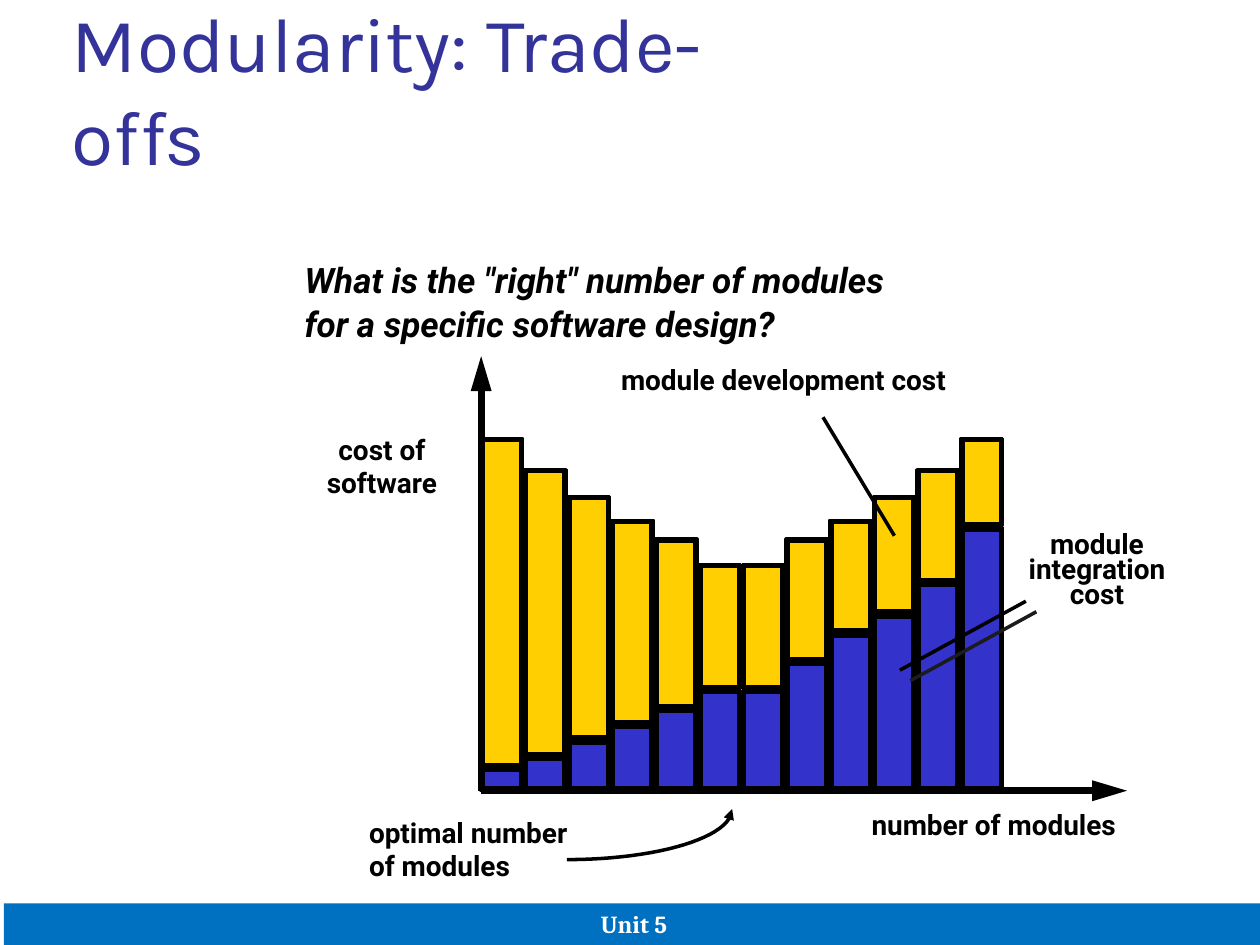
import math

from lxml import etree
from pptx import Presentation
from pptx.dml.color import RGBColor
from pptx.enum.shapes import MSO_CONNECTOR, MSO_SHAPE
from pptx.enum.text import MSO_ANCHOR, MSO_AUTO_SIZE, PP_ALIGN
from pptx.oxml.ns import qn
from pptx.util import Cm, Pt

RECTANGLE = MSO_SHAPE.RECTANGLE
STRAIGHT = MSO_CONNECTOR.STRAIGHT
LEFT, CENTER = PP_ALIGN.LEFT, PP_ALIGN.CENTER
MIDDLE, BOTTOM = MSO_ANCHOR.MIDDLE, MSO_ANCHOR.BOTTOM
NO_AUTO_SIZE = MSO_AUTO_SIZE.NONE

COLORS = {
    "title": "333399",
    "ink": "000000",
    "development": "FFCF01",
    "integration": "3333CC",
    "footer": "0070C0",
    "footer_text": "FFFFFF",
    "shadow": "1C1C1C",
}

# Bar geometry in centimetres; tops are measured from the slide's top edge.
BASELINE = 15.93
FIRST_BAR, BAR_PITCH, BAR_WIDTH = 9.69, 0.88, 0.84
FALLING_TOPS = [8.84, 9.47, 10.01, 10.49, 10.87, 11.38]
TOTAL_TOPS = FALLING_TOPS + FALLING_TOPS[::-1]
INTEGRATION_TOPS = [15.49, 15.27, 14.94, 14.63, 14.3, 13.92,
                    13.92, 13.36, 12.78, 12.4, 11.76, 10.64]
INSET = 0.04


def color(name):
    return RGBColor.from_string(COLORS[name])


class Painter:
    """Holds the slide being drawn and the style shared by its elements."""

    font = "Roboto"
    line_width = 2

    def __init__(self, slide):
        self.slide = slide
        self.shapes = slide.shapes

    def format_text(self, frame, size, ink="ink", font=None, bold=True,
                    italic=False, align=LEFT):
        for para in frame.paragraphs:
            para.alignment = align
            for span in para.runs:
                span.font.name = font or self.font
                span.font.size = Pt(size)
                span.font.bold = bold
                span.font.italic = italic
                span.font.color.rgb = color(ink)

    def title(self, text, left, top, width, height):
        box = self.shapes.title
        box.left, box.top, box.width, box.height = map(Cm, (left, top, width, height))
        frame = box.text_frame
        frame.text = text
        frame.word_wrap = True
        frame.auto_size = NO_AUTO_SIZE
        frame.vertical_anchor = MIDDLE
        frame.margin_left = frame.margin_right = Cm(0.18)
        frame.margin_top = frame.margin_bottom = Cm(0.08)
        self.format_text(frame, 44, "title", "Karla", bold=False)

    def label(self, text, left, top, width, height, size=16, italic=False,
              align=LEFT, spacing=None, gap=0):
        box = self.shapes.add_textbox(Cm(left), Cm(top), Cm(width), Cm(height))
        frame = box.text_frame
        frame.text = text
        frame.word_wrap = False
        self.format_text(frame, size, italic=italic, align=align)
        for para in frame.paragraphs:
            para.line_spacing = spacing
        for para in frame.paragraphs[1:]:
            para.space_before = Pt(gap)

    def rectangle(self, left, top, width, height, fill=None, outlined=True):
        box = self.shapes.add_shape(RECTANGLE, Cm(left), Cm(top), Cm(width), Cm(height))
        box.shadow.inherit = False
        if fill:
            box.fill.solid()
            box.fill.fore_color.rgb = color(fill)
        else:
            box.fill.background()
        if outlined:
            self.ink_line(box, self.line_width)
        else:
            box.line.fill.background()
        return box

    def bar_segment(self, left, top, bottom, fill):
        """Draw a filled rectangle inside a slightly larger frame."""
        height = bottom - top
        self.rectangle(left + INSET, top + INSET, BAR_WIDTH - 2 * INSET,
                       height - 2 * INSET, fill)
        self.rectangle(left, top, BAR_WIDTH, height)

    def ink_line(self, shape, width):
        shape.line.color.rgb = color("ink")
        shape.line.width = Pt(width)

    def arrowhead(self, shape, end, length="med"):
        line = shape.element.spPr.find(qn("a:ln"))
        etree.SubElement(line, qn(f"a:{end}"), type="triangle", w="med", len=length)

    def connector(self, start, finish, width=None, arrow=False, shadow=False):
        line = self.shapes.add_connector(STRAIGHT, *map(Cm, start + finish))
        self.ink_line(line, width or self.line_width)
        if arrow:
            self.arrowhead(line, "tailEnd", "lg")
        effects = etree.SubElement(line.element.spPr, qn("a:effectLst"))
        if shadow:
            outer = etree.SubElement(effects, qn("a:outerShdw"), dist=str(Pt(8.5)),
                                     dir="2700000", algn="ctr", rotWithShape="0")
            etree.SubElement(outer, qn("a:srgbClr"), val=COLORS["shadow"])

    def curved_arrow(self, center_x, center_y, radius_x, radius_y, steps=24):
        """Draw a quarter ellipse with its arrowhead at the right end."""
        angles = [math.pi / 2 * step / steps for step in range(steps + 1)]
        points = [(Cm(center_x + radius_x * math.cos(angle)),
                   Cm(center_y + radius_y * math.sin(angle))) for angle in angles]
        builder = self.shapes.build_freeform(*points[0])
        builder.add_line_segments(points[1:], close=False)
        curve = builder.convert_to_shape()
        curve.shadow.inherit = False
        curve.fill.background()
        self.ink_line(curve, self.line_width)
        self.arrowhead(curve, "headEnd")

    def footer(self, text, left, top, width, height):
        band = self.rectangle(left, top, width, height, "footer", outlined=False)
        frame = band.text_frame
        frame.text = text
        frame.vertical_anchor = BOTTOM
        self.format_text(frame, 14, "footer_text", "Cambria", align=CENTER)


def main():
    deck = Presentation()
    deck.slide_width, deck.slide_height = Cm(25.4), Cm(19.05)
    page = Painter(deck.slides.add_slide(deck.slide_layouts[5]))

    page.title("Modularity: Trade-offs", 1.27, 0.76, 15.72, 2.03)
    page.label('What is the "right" number of modules\nfor a specific software design?',
               5.89, 5.08, 13.64, 1.98, size=20, italic=True, gap=1.5)
    page.label("optimal number\nof modules", 7.19, 16.31, 4.72, 1.6)

    for index, (top, split) in enumerate(zip(TOTAL_TOPS, INTEGRATION_TOPS)):
        left = FIRST_BAR + index * BAR_PITCH
        page.bar_segment(left, split, BASELINE, "integration")
        page.bar_segment(left, top, split - INSET, "development")

    page.label("cost of\nsoftware", 6.3, 8.59, 2.8, 1.6, align=CENTER)
    page.label("number of modules", 17.32, 16.15, 5.74, 0.91)
    origin = (9.7, 15.94)
    page.connector(origin, (22.72, 15.94), width=4, arrow=True)
    page.connector(origin, (9.7, 7.18), width=4, arrow=True)
    page.label("module\nintegration\ncost", 20.4, 10.64, 3.43, 1.78,
               align=CENTER, spacing=0.75)
    page.label("module development cost", 12.27, 7.19, 7.62, 0.91)
    page.connector((16.59, 8.41), (18.03, 10.8))
    page.connector((20.68, 12.12), (18.14, 13.51), shadow=True)
    page.curved_arrow(11.43, 16.31, 3.33, 1.02)

    page.footer("Unit 5", 0.08, 18.21, 25.4, 0.84)
    deck.save("out.pptx")


if __name__ == "__main__":
    main()
